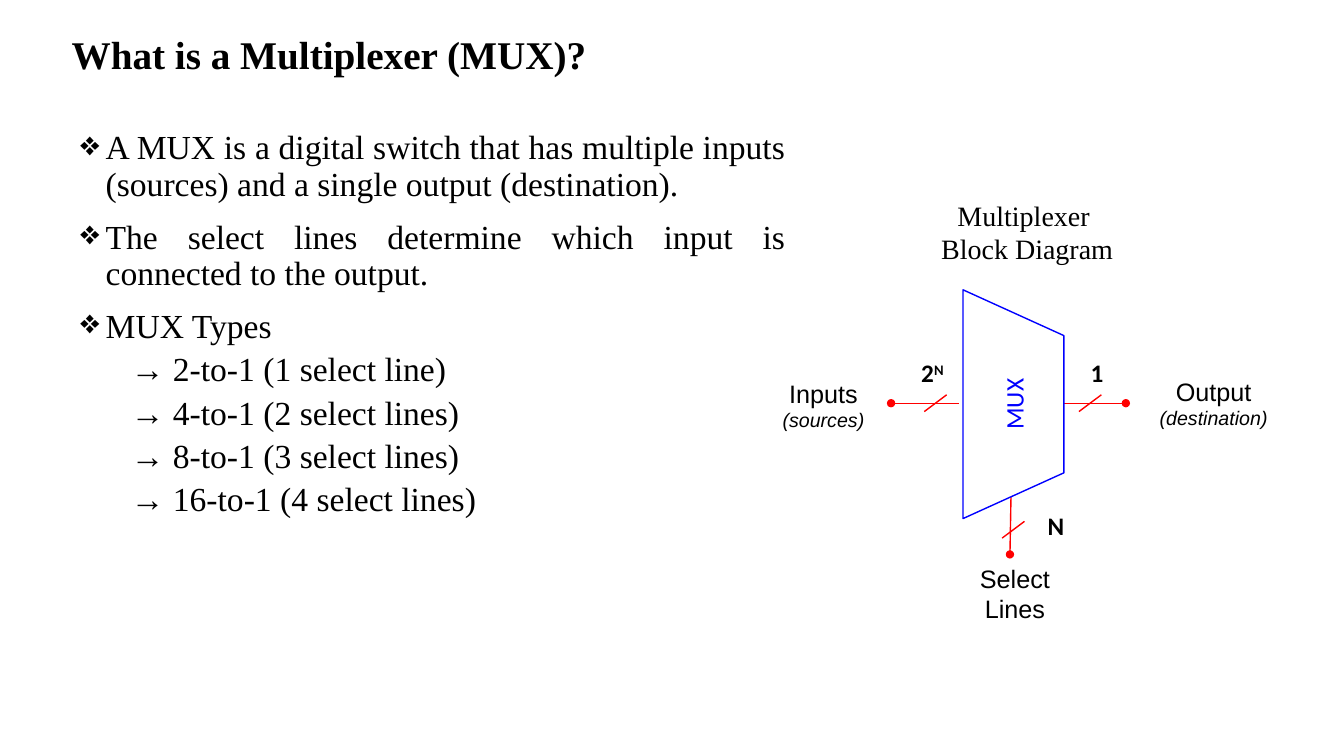
from lxml import etree
from pptx import Presentation
from pptx.dml.color import RGBColor
from pptx.enum.shapes import MSO_CONNECTOR, MSO_SHAPE
from pptx.enum.text import MSO_ANCHOR, MSO_AUTO_SIZE, PP_ALIGN
from pptx.oxml.ns import qn
from pptx.util import Pt

CENTER = PP_ALIGN.CENTER
JUSTIFY = PP_ALIGN.JUSTIFY
LEFT = PP_ALIGN.LEFT
MIDDLE = MSO_ANCHOR.MIDDLE
STRAIGHT = MSO_CONNECTOR.STRAIGHT
TRAPEZOID = MSO_SHAPE.FLOWCHART_MANUAL_OPERATION
FIT_SHAPE = MSO_AUTO_SIZE.SHAPE_TO_FIT_TEXT
NO_FIT = MSO_AUTO_SIZE.NONE
SERIF, SANS, LABEL = "Times New Roman", "Arial", "Calibri"
BLACK, WHITE, RED, BLUE = "000000", "FFFFFF", "FF0000", "0000FF"

POINTS = [
    "A MUX is a digital switch that has multiple inputs (sources) and a single output (destination).",
    "The select lines determine which input is connected to the output.",
    "MUX Types",
]
TYPES = [
    "→ 2-to-1 (1 select line)",
    "→ 4-to-1 (2 select lines)",
    "→ 8-to-1 (3 select lines)",
    "→ 16-to-1 (4 select lines)",
]


def color(value):
    return RGBColor.from_string(value)


def format_runs(paragraph, font, size, ink=BLACK, bold=False, italic=False):
    for run in paragraph.runs:
        run.font.name = font
        run.font.size = Pt(size)
        run.font.color.rgb = color(ink)
        run.font.bold = bold
        run.font.italic = italic


def set_indent(paragraph, margin, bullet=None):
    properties = paragraph._p.get_or_add_pPr()
    properties.set("marL", str(Pt(margin)))
    properties.set("indent", str(Pt(-18)))
    if bullet:
        etree.SubElement(properties, qn("a:buChar")).set("char", bullet)
    else:
        etree.SubElement(properties, qn("a:buNone"))


def add_title(slide, left, top, width, height):
    title = slide.shapes.title
    title.left, title.top, title.width, title.height = map(Pt, (left, top, width, height))
    title.text_frame.text = "What is a Multiplexer (MUX)?"
    title.text_frame.vertical_anchor = MIDDLE
    paragraph = title.text_frame.paragraphs[0]
    paragraph.alignment = LEFT
    paragraph.line_spacing = 0.9
    format_runs(paragraph, SERIF, 28, bold=True)


def add_body(slide, left, top, width, height):
    frame = slide.shapes.add_textbox(*map(Pt, (left, top, width, height))).text_frame
    frame.word_wrap = True
    frame.auto_size = NO_FIT
    frame.text = "\n".join(POINTS + TYPES)
    for index, paragraph in enumerate(frame.paragraphs):
        is_point = index < len(POINTS)
        paragraph.line_spacing = 0.9
        paragraph.alignment = JUSTIFY if is_point else LEFT
        paragraph.space_before = Pt(0 if is_point else 5)
        paragraph.space_after = Pt(12 if index < len(POINTS) - 1 else 0)
        paragraph.level = 0 if is_point else 1
        set_indent(paragraph, 18 if is_point else 54, "❖" if is_point else None)
        format_runs(paragraph, SERIF, 24)


def add_label(shapes, text, box, font, size=18, bold=False):
    frame = shapes.add_textbox(*map(Pt, box)).text_frame
    frame.word_wrap = False
    frame.auto_size = FIT_SHAPE
    frame.text = text
    for paragraph in frame.paragraphs:
        paragraph.alignment = CENTER
        format_runs(paragraph, font, size, bold=bold)
    return frame


def add_wire(shapes, start, end, dotted=False):
    wire = shapes.add_connector(STRAIGHT, *map(Pt, start + end))
    wire.line.color.rgb = color(RED)
    wire.line.width = Pt(1)
    if dotted:
        etree.SubElement(wire.line._get_or_add_ln(), qn("a:headEnd")).set("type", "oval")
    etree.SubElement(wire._element.spPr, qn("a:effectLst"))


def add_mux(shapes, left, top, width, height):
    mux = shapes.add_shape(TRAPEZOID, *map(Pt, (left, top, width, height)))
    mux.rotation = 270
    mux.shadow.inherit = False
    mux.fill.solid()
    mux.fill.fore_color.rgb = color(WHITE)
    mux.line.color.rgb = color(BLUE)
    mux.line.width = Pt(1)
    mux.text_frame.text = "MUX"
    mux.text_frame.vertical_anchor = MIDDLE
    paragraph = mux.text_frame.paragraphs[0]
    paragraph.alignment = CENTER
    format_runs(paragraph, LABEL, 18, BLUE)


def add_diagram(slide, left, top):
    shapes = slide.shapes.add_group_shape().shapes

    def place(x, y, *size):
        return (left + x, top + y, *size)

    add_label(shapes, "Multiplexer \nBlock Diagram", place(112.6, 0, 138.2, 55.4), SERIF, 20)
    add_label(shapes, "Select\nLines", place(140.6, 260.9, 64.8, 51.1), SANS)
    for text, box in (
        ("Inputs\n(sources)", place(-0.5, 128.4, 73.4, 46.1)),
        ("Output\n(destination)", place(268.8, 127, 92.2, 46.1)),
    ):
        frame = add_label(shapes, text, box, SANS)
        format_runs(frame.paragraphs[1], SANS, 14, italic=True)

    for start, end in (
        ((252.2, 150), (204.7, 150)),
        ((169.4, 258), (170.2, 214.8)),
        ((84.5, 150), (132.7, 150)),
    ):
        add_wire(shapes, place(*start), place(*end), dotted=True)
    for x, y in ((226.7, 150), (116.2, 150), (171.8, 240.4)):
        add_wire(shapes, place(x - 8, y + 6), place(x + 8, y - 6))

    add_label(shapes, "1", place(219.8, 114, 23.8, 28.8), LABEL, bold=True)
    add_label(shapes, "N", place(188.9, 222.7, 26.6, 28.8), LABEL, bold=True)
    power = add_label(shapes, "2", place(98.2, 114, 31.7, 28.8), LABEL, bold=True).paragraphs[0]
    exponent = power.add_run()
    exponent.text = "N"
    format_runs(power, LABEL, 18, bold=True)
    exponent.font._element.set("baseline", "30000")
    add_mux(shapes, *place(90.2, 114.7, 163.4, 72))


def main():
    presentation = Presentation()
    presentation.slide_width = Pt(960)
    presentation.slide_height = Pt(540)
    slide = presentation.slides.add_slide(presentation.slide_layouts[5])
    add_title(slide, 44, 11, 824.4, 59)
    add_body(slide, 50.4, 90, 517.7, 396)
    add_diagram(slide, 552, 138)
    presentation.save("out.pptx")


if __name__ == "__main__":
    main()
